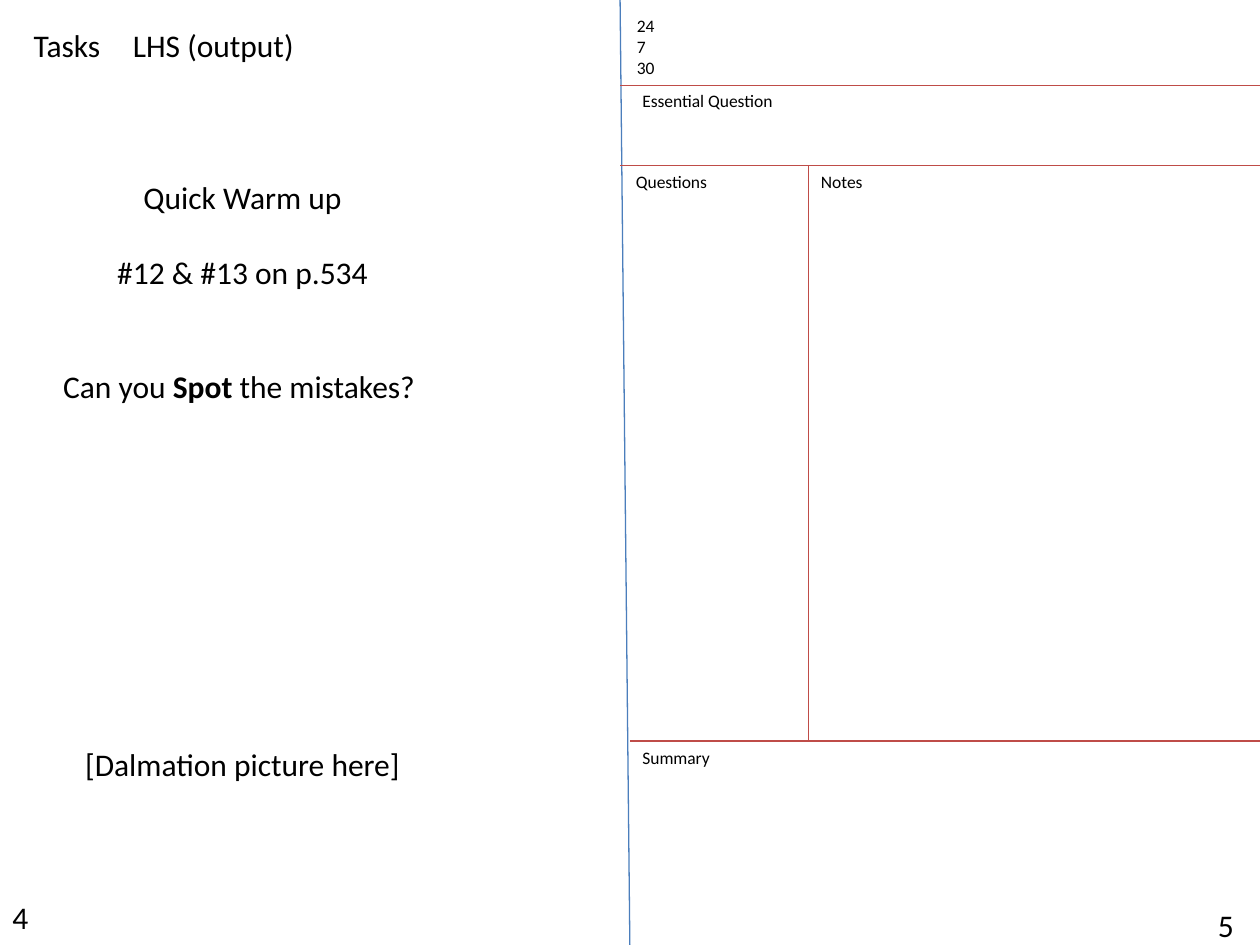
from pptx import Presentation
from pptx import util as u
from pptx.dml.color import RGBColor
from pptx.enum import shapes, text
from pptx.oxml.ns import qn
from lxml import etree

BLACK = RGBColor(0x00, 0x00, 0x00)
BLUE = RGBColor(0x4B, 0x7E, 0xBC)
RED = RGBColor(0xBF, 0x4C, 0x48)
FONT = "Calibri"
LINE_PITCH = 21.6
SPACE_WIDTH = u.Cm(0.14)

FOLD, MARGIN, RIGHT = 12.5, 16.3, 25.4
HEADER, NOTES, SUMMARY = 1.73, 3.33, 14.94

RULES = [
    (FOLD, 0, 12.7, 19.33, BLUE),
    (FOLD, HEADER, RIGHT, HEADER, RED),
    (FOLD, NOTES, RIGHT, NOTES, RED),
    (12.7, SUMMARY, 25.83, SUMMARY, RED),
    (MARGIN, NOTES, MARGIN, SUMMARY, RED),
]

LABELS = [
    (["4"], 0, 17.98, 0.84, 1.03, 18, False),
    (["5"], 24.3, 18.14, 1.52, 1.03, 18, True),
    (["24", "7", "30"], 12.59, 0.18, 1.19, 1.54, 10, True),
    (["Essential Question"], 12.7, 1.68, 3.18, 0.68, 10, False),
    (["Notes"], MARGIN, NOTES, 1.38, 0.68, 10, False),
    (["Questions"], 12.57, NOTES, 1.98, 0.68, 10, False),
    (["Summary"], 12.7, SUMMARY, 1.88, 0.68, 10, False),
]

HEADING = "Tasks\tLHS (output)"
TASKS = [
    (3, None, [("Quick Warm up", False)]),
    (1, None, [("#12 & #13 on p.534", False)]),
    (2, "marR", [("Can you ", False), ("Spot", True), (" the mistakes?", False)]),
    (9, "marL", [("[Dalmation picture here]", False)]),
]


def add_rule(s, x1, y1, x2, y2, color):
    line = s.shapes.add_connector(
        shapes.MSO_CONNECTOR.STRAIGHT, u.Cm(x1), u.Cm(y1), u.Cm(x2), u.Cm(y2))
    line.line.color.rgb = color
    line.line.width = u.Pt(0.75)
    etree.SubElement(line._element.spPr, qn("a:effectLst"))


def add_box(s, x, y, w, h, wrap=True):
    tf = s.shapes.add_textbox(u.Cm(x), u.Cm(y), u.Cm(w), u.Cm(h)).text_frame
    tf.word_wrap = wrap
    tf.auto_size = text.MSO_AUTO_SIZE.SHAPE_TO_FIT_TEXT
    return tf


def style(p, size):
    p.font.name = FONT
    p.font.size = u.Pt(size)
    p.font.color.rgb = BLACK


def add_tasks(s):
    tf = add_box(s, 0.43, 0.41, 8.92, 15.65)
    p = tf.paragraphs[0]
    p.add_run().text = HEADING
    tabs = etree.SubElement(p._p.get_or_add_pPr(), qn("a:tabLst"))
    etree.SubElement(tabs, qn("a:tab"), pos=str(u.Cm(2)), algn="l")
    style(p, 18)
    for gap, indent, runs in TASKS:
        p = tf.add_paragraph()
        p.alignment = text.PP_ALIGN.CENTER
        p.space_before = u.Pt(gap * LINE_PITCH)
        if indent:
            p._p.get_or_add_pPr().set(indent, str(SPACE_WIDTH))
        style(p, 18)
        for words, bold in runs:
            r = p.add_run()
            r.text = words
            if bold:
                r.font.bold = True


def main():
    prs = Presentation()
    prs.slide_width, prs.slide_height = u.Cm(25.4), u.Cm(19.05)
    s = prs.slides.add_slide(prs.slide_layouts[6])
    for rule in RULES:
        add_rule(s, *rule)
    for lines, x, y, w, h, size, wrap in LABELS:
        tf = add_box(s, x, y, w, h, wrap)
        tf.text = "\n".join(lines)
        for p in tf.paragraphs:
            style(p, size)
    add_tasks(s)
    prs.save("out.pptx")


if __name__ == "__main__":
    main()
